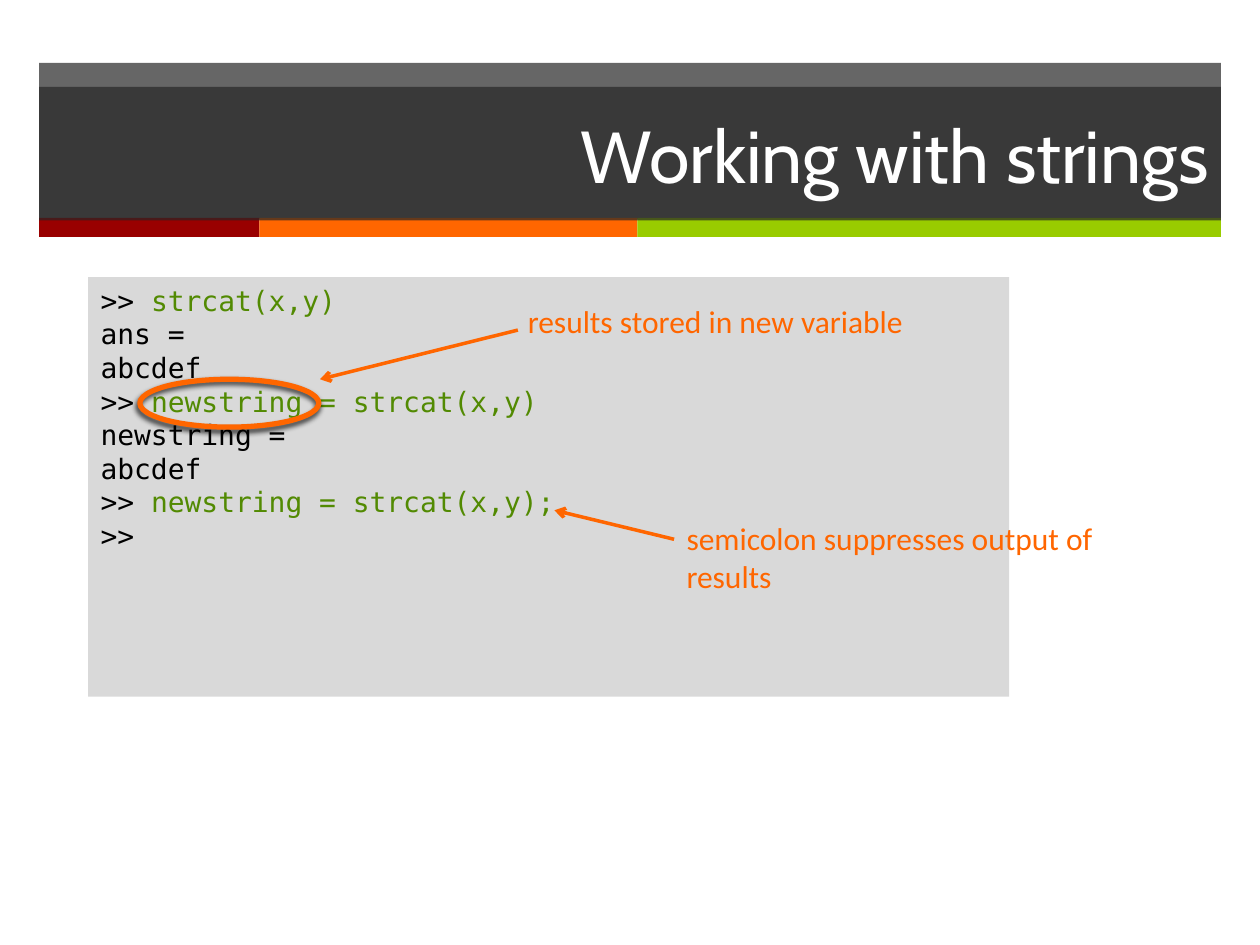
from lxml import etree
from pptx import Presentation
from pptx import util as u
from pptx.dml.color import RGBColor
from pptx.enum import shapes, text
from pptx.oxml import parse_xml
from pptx.oxml.ns import qn

WHITE = RGBColor(0xFF, 0xFF, 0xFF)
BLACK = RGBColor(0, 0, 0)
DARK = RGBColor(0x26, 0x26, 0x26)
GRAY = RGBColor(0xD9, 0xD9, 0xD9)
RED = RGBColor(0x99, 0, 0)
ORANGE = RGBColor(0xFF, 0x66, 0)
LIME = RGBColor(0x99, 0xCC, 0)
GREEN = RGBColor(0x52, 0x8A, 0x02)

PROMPT = ">> "
SHADOW = (
    '<a:outerShdw xmlns:a="http://schemas.openxmlformats.org/drawingml/2006/main" '
    'blurRad="38100" dist="25400" dir="6600000" rotWithShape="0">'
    '<a:srgbClr val="000000"><a:alpha val="75000"/></a:srgbClr></a:outerShdw>'
)


class SlideBuilder:
    title_font, body_font, code_font = "Cabin", "Calibri", "DejaVu Sans Mono"

    def __init__(self, slide):
        self.s = slide

    def style_run(self, r, font, size, color):
        r.font.name = font
        r.font.size = u.Pt(size)
        r.font.color.rgb = color

    def shape(self, kind, x, y, w, h):
        sp = self.s.shapes.add_shape(kind, *map(u.Inches, (x, y, w, h)))
        sp.shadow.inherit = False
        return sp

    def rect(self, x, y, w, h, color, opacity=None):
        """Add a borderless rectangle; opacity is a percentage."""
        sp = self.shape(shapes.MSO_SHAPE.RECTANGLE, x, y, w, h)
        sp.fill.solid()
        sp.fill.fore_color.rgb = color
        sp.line.fill.background()
        if opacity is not None:
            clr = sp.fill._xPr.find(qn("a:solidFill"))[0]
            etree.SubElement(clr, qn("a:alpha")).set("val", str(opacity * 1000))
        return sp

    def title(self, sp, words):
        tf = sp.text_frame
        tf.word_wrap = True
        tf.vertical_anchor = text.MSO_ANCHOR.MIDDLE
        tf.text = words
        p = tf.paragraphs[0]
        p.alignment = text.PP_ALIGN.RIGHT
        self.style_run(p.runs[0], self.title_font, 42, WHITE)

    def code(self, sp, lines):
        """Fill sp with a session; what follows a prompt is typed input."""
        tf = sp.text_frame
        tf.word_wrap = True
        tf.vertical_anchor = text.MSO_ANCHOR.TOP
        for i, line in enumerate(lines):
            p = tf.paragraphs[0] if i == 0 else tf.add_paragraph()
            p.alignment = text.PP_ALIGN.LEFT
            p.line_spacing = u.Pt(19.2)
            parts = [(line, BLACK)]
            if line.startswith(PROMPT):
                parts = [(PROMPT, BLACK), (line[len(PROMPT):], GREEN)]
            for words, color in parts:
                r = p.add_run()
                r.text = words
                self.style_run(r, self.code_font, 16, color)

    def ring(self, x, y, w, h):
        sp = self.shape(shapes.MSO_SHAPE.OVAL, x, y, w, h)
        sp.fill.background()
        sp.line.color.rgb = ORANGE
        sp.line.width = u.Pt(3)
        sp._element.spPr.find(qn("a:effectLst")).append(parse_xml(SHADOW))

    def arrow(self, start, end):
        c = self.s.shapes.add_connector(
            shapes.MSO_CONNECTOR.STRAIGHT, *map(u.Inches, start + end))
        c.line.color.rgb = ORANGE
        c.line.width = u.Pt(2)
        etree.SubElement(c.line._get_or_add_ln(), qn("a:tailEnd")).set("type", "arrow")
        etree.SubElement(c._element.spPr, qn("a:effectLst"))

    def note(self, x, y, w, h, words):
        tf = self.s.shapes.add_textbox(*map(u.Inches, (x, y, w, h))).text_frame
        tf.word_wrap = True
        tf.text = words
        self.style_run(tf.paragraphs[0].runs[0], self.body_font, 18, ORANGE)


def main():
    prs = Presentation()
    prs.slide_width, prs.slide_height = u.Inches(10), u.Inches(7.5)
    b = SlideBuilder(prs.slides.add_slide(prs.slide_layouts[6]))

    left, width = 0.31, 9.38
    b.rect(left, 0.5, width, 1.24, DARK, 70)
    x = left
    for w, color in ((1.75, RED), (3, ORANGE), (4.63, LIME)):
        b.rect(x, 1.73, w, 0.15, color)
        x += w
    b.title(b.rect(left, 0.69, width, 1.06, DARK, 70), "Working with strings")

    b.code(b.rect(0.7, 2.2, 7.31, 3.33, GRAY), [
        ">> strcat(x,y)",
        "ans =",
        "abcdef",
        ">> newstring = strcat(x,y)",
        "newstring =",
        "abcdef",
        ">> newstring = strcat(x,y);",
        ">>",
    ])
    b.ring(1.11, 3.01, 1.42, 0.38)

    b.arrow((4.11, 2.62), (2.54, 3.01))
    b.note(4.09, 2.35, 3.92, 0.4, "results stored in new variable")
    b.arrow((5.35, 4.28), (4.4, 4.05))
    b.note(5.35, 4.07, 3.92, 0.71, "semicolon suppresses output of results")

    prs.save("out.pptx")


if __name__ == "__main__":
    main()
